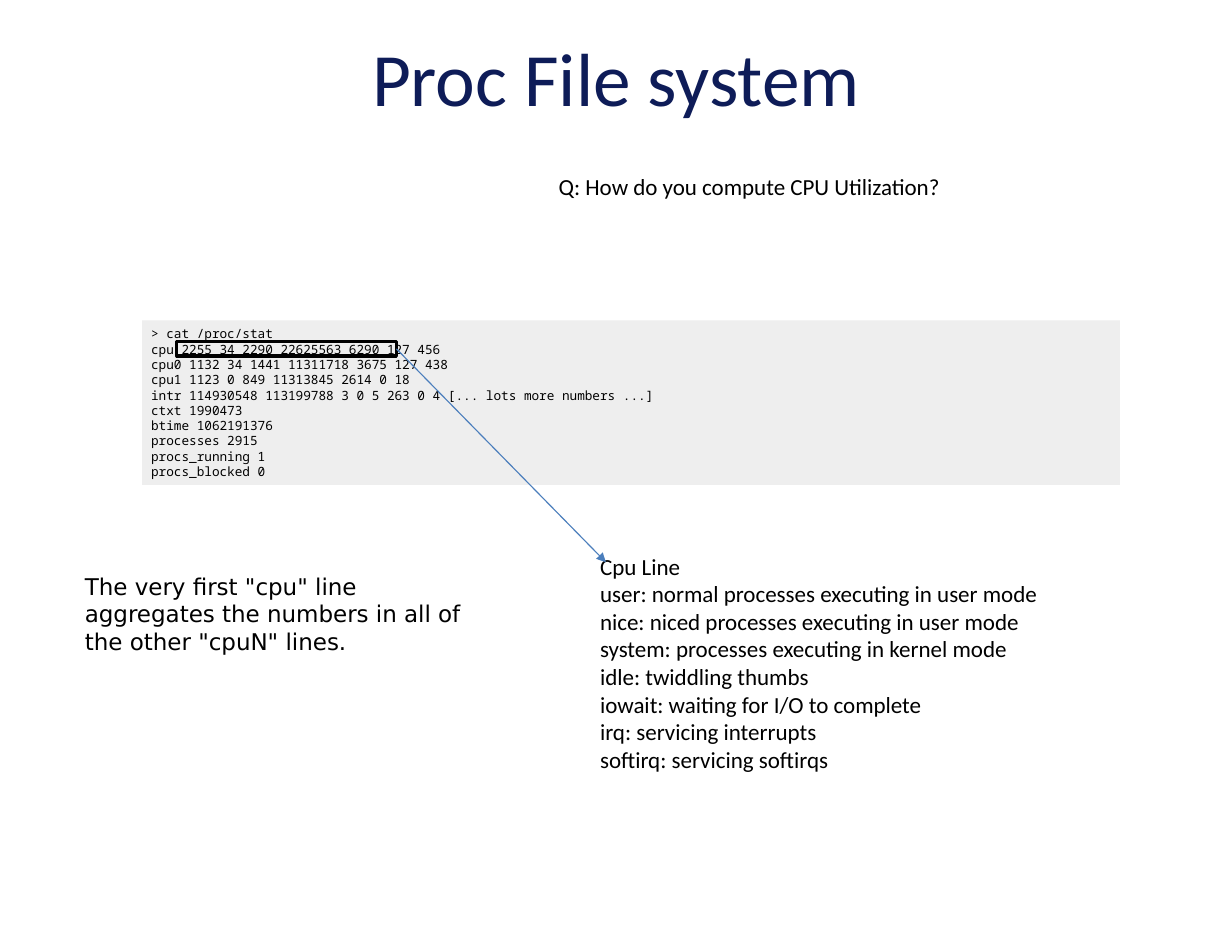
from dataclasses import dataclass

from lxml.etree import SubElement
from pptx import Presentation
from pptx.dml.color import RGBColor
from pptx.enum.shapes import MSO_CONNECTOR, MSO_SHAPE
from pptx.enum.text import MSO_ANCHOR, PP_ALIGN
from pptx.oxml.ns import qn
from pptx.util import Inches, Pt


@dataclass(frozen=True)
class Theme:
    title_color: RGBColor = RGBColor(0x0E, 0x1C, 0x58)
    ink: RGBColor = RGBColor(0, 0, 0)
    code_fill: RGBColor = RGBColor(0xEE, 0xEE, 0xEE)
    arrow_color: RGBColor = RGBColor(0x4B, 0x7E, 0xBC)
    body_font: str = "Calibri"
    note_font: str = "DejaVu Sans"
    code_font: str = "Noto Sans Mono"
    title_size: float = 48.4
    body_size: float = 14.8
    code_size: float = 8.2


class SlideBuilder:
    """Places elements on a grid of 110 columns by 85 rows."""

    COLUMNS, ROWS = 110, 85

    def __init__(self, deck, theme):
        self.theme = theme
        self.column = deck.slide_width / self.COLUMNS
        self.row = deck.slide_height / self.ROWS
        self.slide = deck.slides.add_slide(deck.slide_layouts[6])

    def place(self, column, row, columns=0, rows=0):
        """Turn grid units into lengths."""
        return (round(column * self.column), round(row * self.row),
                round(columns * self.column), round(rows * self.row))

    def set_text(self, shape, paragraphs, font, size, color, align=PP_ALIGN.LEFT):
        frame = shape.text_frame
        for index, text in enumerate(paragraphs):
            para = frame.add_paragraph() if index else frame.paragraphs[0]
            para.text = text
            para.alignment = align
            para.font.name = font
            para.font.size = Pt(size)
            para.font.color.rgb = color

    def title(self, text, *area):
        box = self.slide.shapes.add_textbox(*self.place(*area))
        box.text_frame.word_wrap = True
        box.text_frame.vertical_anchor = MSO_ANCHOR.MIDDLE
        self.set_text(box, [text], self.theme.body_font, self.theme.title_size,
                      self.theme.title_color, PP_ALIGN.CENTER)

    def text(self, paragraphs, *area, font=None, wrap=True):
        box = self.slide.shapes.add_textbox(*self.place(*area))
        box.text_frame.word_wrap = wrap
        self.set_text(box, paragraphs, font or self.theme.body_font,
                      self.theme.body_size, self.theme.ink)

    def rectangle(self, *area):
        shape = self.slide.shapes.add_shape(MSO_SHAPE.RECTANGLE, *self.place(*area))
        shape.shadow.inherit = False
        return shape

    def code(self, text, *area):
        panel = self.rectangle(*area)
        panel.fill.solid()
        panel.fill.fore_color.rgb = self.theme.code_fill
        panel.line.fill.background()
        frame = panel.text_frame
        frame.word_wrap = True
        frame.vertical_anchor = MSO_ANCHOR.MIDDLE
        frame.margin_left = frame.margin_right = Inches(0.08)
        frame.margin_top = frame.margin_bottom = Inches(0.04)
        self.set_text(panel, [text], self.theme.code_font, self.theme.code_size,
                      self.theme.ink)

    def highlight(self, *area):
        outline = self.rectangle(*area)
        outline.fill.background()
        outline.line.color.rgb = self.theme.ink
        outline.line.width = Pt(2)
        return outline

    def arrow_from(self, shape, side, column, row):
        """Draw an arrow from a side of the shape to a grid point."""
        end = self.place(column, row)[:2]
        arrow = self.slide.shapes.add_connector(MSO_CONNECTOR.STRAIGHT, 0, 0, *end)
        arrow.begin_connect(shape, side)
        arrow.line.color.rgb = self.theme.arrow_color
        arrow.line.width = Pt(0.75)
        SubElement(arrow.get_or_add_ln(), qn("a:tailEnd"), type="triangle")
        SubElement(arrow._element.spPr, qn("a:effectLst"))


PROC_STAT = """> cat /proc/stat
cpu 2255 34 2290 22625563 6290 127 456
cpu0 1132 34 1441 11311718 3675 127 438
cpu1 1123 0 849 11313845 2614 0 18
intr 114930548 113199788 3 0 5 263 0 4 [... lots more numbers ...]
ctxt 1990473
btime 1062191376
processes 2915
procs_running 1
procs_blocked 0"""

CPU_FIELDS = [
    "Cpu Line",
    "user: normal processes executing in user mode",
    "nice: niced processes executing in user mode",
    "system: processes executing in kernel mode",
    "idle: twiddling thumbs",
    "iowait: waiting for I/O to complete",
    "irq: servicing interrupts",
    "softirq: servicing softirqs",
]

CPU_NOTE = ('The very first "cpu" line aggregates the numbers in all '
            'of the other "cpuN" lines.')


def main():
    deck = Presentation()
    deck.slide_width, deck.slide_height = Inches(11), Inches(8.5)
    theme = Theme()
    builder = SlideBuilder(deck, theme)
    builder.title("Proc File system", 5.5, 2, 99, 9.7)
    builder.code(PROC_STAT, 12.7, 28.6, 87.3, 14.7)
    builder.text([CPU_NOTE], 6.6, 50.6, 35.6, 8.5, font=theme.note_font)
    builder.text(CPU_FIELDS, 52.6, 48.8, 55, 21)
    cpu_numbers = builder.highlight(15.8, 30.5, 19.6, 1.3)
    builder.arrow_from(cpu_numbers, 3, 54.1, 50.2)
    builder.text(["Q: How do you compute CPU Utilization?"],
                 48.9, 14.9, 36.6, 3.5, wrap=False)
    deck.save("out.pptx")


if __name__ == "__main__":
    main()
